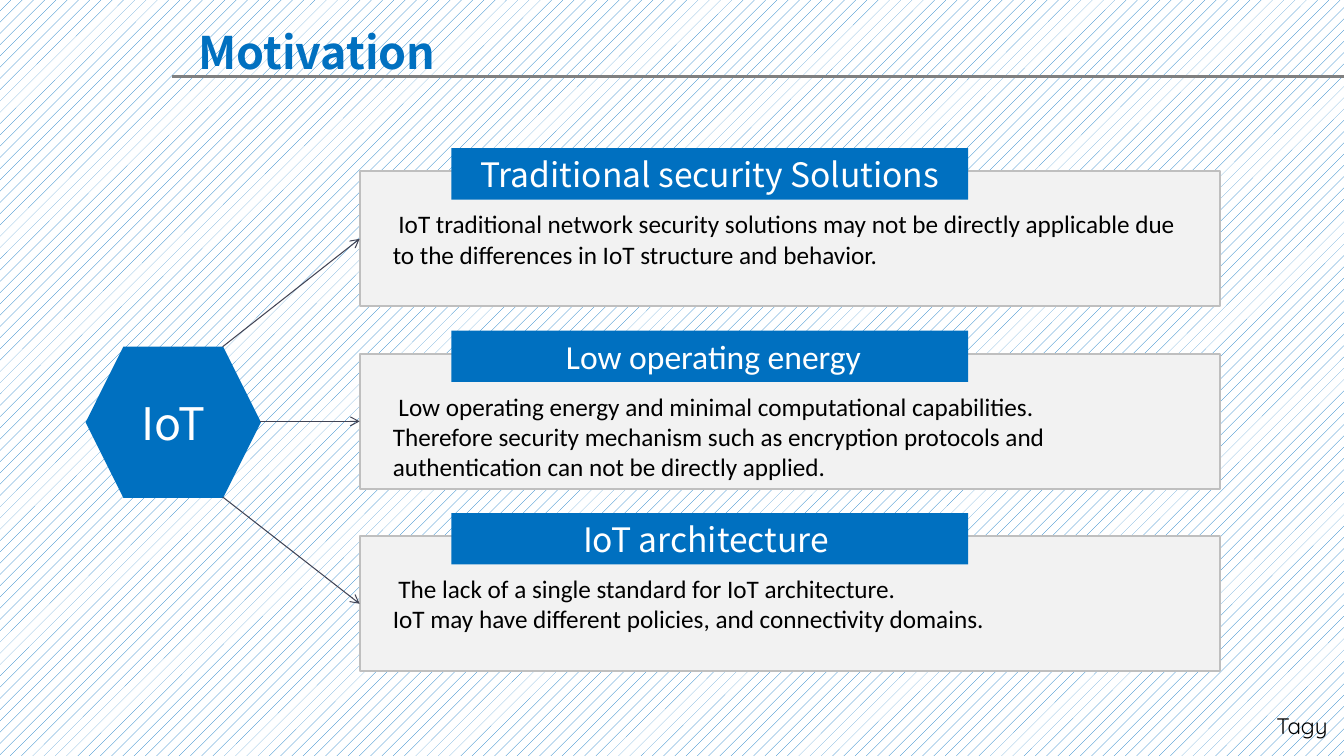
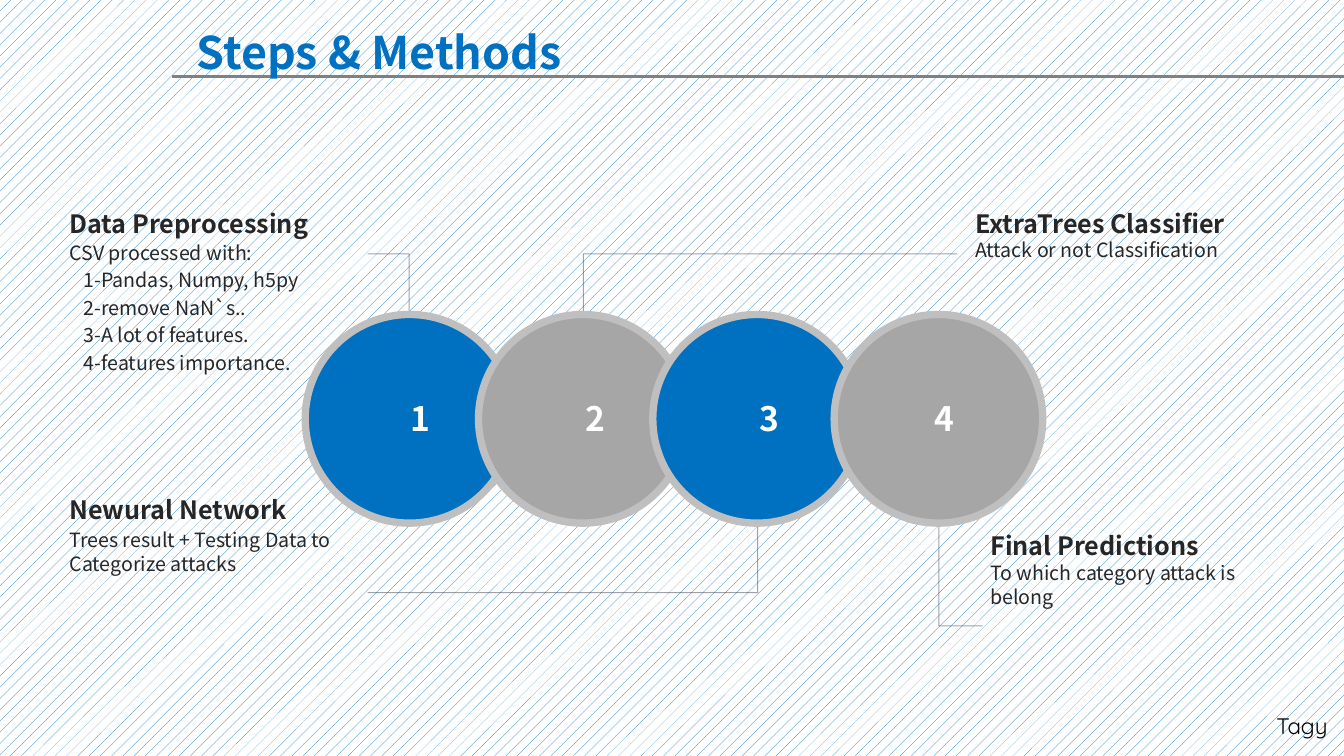
import pptx
import pptx.util
import pptx.dml.color
import pptx.enum.dml
import pptx.enum.shapes
import pptx.enum.text
import pptx.oxml
import pptx.oxml.ns

RGBColor = pptx.dml.color.RGBColor
BLUE = RGBColor(0x00, 0x70, 0xC0)
WHITE = RGBColor(0xFF, 0xFF, 0xFF)
BLACK = RGBColor(0x00, 0x00, 0x00)
INK = RGBColor(0x26, 0x26, 0x26)
SLATE = RGBColor(0x41, 0x44, 0x55)
RULE_GRAY = RGBColor(0x80, 0x80, 0x80)
STEP_GRAY = RGBColor(0xA6, 0xA6, 0xA6)
EDGE_GRAY = RGBColor(0xBF, 0xBF, 0xBF)
PANEL_GRAY = RGBColor(0xF2, 0xF2, 0xF2)

HEAD_FONT = "Noto Sans CJK SC"
BODY_FONT = "Calibri"
PX = 9144  # 100 px to the inch

SHAPES = pptx.enum.shapes.MSO_SHAPE
ALIGN = pptx.enum.text.PP_ALIGN
ANCHOR = pptx.enum.text.MSO_ANCHOR

presentation = pptx.Presentation()
presentation.slide_width = 1334 * PX
presentation.slide_height = 750 * PX
layout = presentation.slide_layouts.get_by_name("Title Only")


def write(shape, lines, size, color, font=HEAD_FONT, bold=False, align=ALIGN.LEFT,
          anchor=ANCHOR.TOP, line_spacing=None, space_before=0, indent=0):
    """Fill a shape with one paragraph a line; indent (px) applies after the first."""
    frame = shape.text_frame
    frame.word_wrap = True
    frame.auto_size = pptx.enum.text.MSO_AUTO_SIZE.NONE
    frame.vertical_anchor = anchor
    for index, line in enumerate(lines):
        paragraph = frame.add_paragraph() if index else frame.paragraphs[0]
        paragraph.alignment = align
        paragraph.line_spacing = line_spacing
        if index:
            paragraph.space_before = pptx.util.Pt(space_before)
            if indent:
                paragraph._p.get_or_add_pPr().set("marL", str(indent * PX))
        run = paragraph.add_run()
        run.text = line
        run.font.name = font
        run.font.size = pptx.util.Pt(size)
        run.font.bold = bold
        run.font.color.rgb = color


def add_line(slide, start, end, color, width, detail=None):
    """Draw a shadowless line; detail is "arrow", "faint" or None."""
    line = slide.shapes.add_connector(
        pptx.enum.shapes.MSO_CONNECTOR.STRAIGHT, *(value * PX for value in start + end))
    line.line.color.rgb = color
    line.line.width = pptx.util.Pt(width)
    properties = line._element.spPr
    outline = line.line._get_or_add_ln()
    if detail == "arrow":
        pptx.oxml.ns.qn("a:tailEnd")
        tail = pptx.oxml.parse_xml(f'<a:tailEnd {pptx.oxml.ns.nsdecls("a")} type="arrow"/>')
        outline.append(tail)
    elif detail == "faint":
        alpha = pptx.oxml.parse_xml(f'<a:alpha {pptx.oxml.ns.nsdecls("a")} val="50000"/>')
        outline.find(".//" + pptx.oxml.ns.qn("a:srgbClr")).append(alpha)
    properties.append(pptx.oxml.parse_xml(f'<a:effectLst {pptx.oxml.ns.nsdecls("a")}/>'))
    return line


# Shared background, titles, rule and footer
background = presentation.slide_master.background.fill
background.patterned()
background.pattern = pptx.enum.dml.MSO_PATTERN.PERCENT_10
background.fore_color.rgb = BLUE
background.back_color.rgb = WHITE

slides = []
for title_text, left, width in [("Motivation", 187, 441), ("Steps & Methods", 185, 497)]:
    slide = presentation.slides.add_slide(layout)
    title = slide.shapes.title
    title.left, title.top, title.width, title.height = left * PX, 19 * PX, width * PX, 64 * PX
    write(title, [title_text], 32, BLUE, bold=True)
    slides.append(slide)
motivation, steps = slides

rule = add_line(motivation, (171, 76), (1334, 76), RULE_GRAY, 2)
footer = motivation.shapes.add_textbox(1257 * PX, 702 * PX, 155 * PX, 37 * PX)
write(footer, ["Tagy"], 16, BLACK, font="Quicksand")
for shared in (rule, footer):
    layout.shapes.element.append(shared._element)

# Motivation: a hexagon pointing to three panels
hexagon = motivation.shapes.add_shape(SHAPES.HEXAGON, 85 * PX, 344 * PX, 174 * PX, 150 * PX)
hexagon.shadow.inherit = False
hexagon.fill.solid()
hexagon.fill.fore_color.rgb = BLUE
hexagon.line.fill.background()
write(hexagon, ["IoT"], 32, WHITE, align=ALIGN.CENTER, anchor=ANCHOR.MIDDLE)

panels = [
    ("Traditional security Solutions", HEAD_FONT, (221, 344),
     [" IoT traditional network security solutions may not be directly applicable due to "
      "the differences in IoT structure and behavior."]),
    (" Low operating energy", BODY_FONT, (258, 418),
     [" Low operating energy and minimal computational capabilities.",
      "Therefore security mechanism such as encryption protocols and authentication can "
      "not be directly applied."]),
    ("IoT architecture ", HEAD_FONT, (221, 493),
     [" The lack of a single standard for IoT architecture.",
      "IoT may have different policies, and connectivity domains."]),
]
for index, (heading, heading_font, arrow_start, lines) in enumerate(panels):
    top = 170 + 181 * index
    panel = motivation.shapes.add_shape(SHAPES.RECTANGLE, 357 * PX, top * PX, 854 * PX, 134 * PX)
    panel.shadow.inherit = False
    panel.fill.solid()
    panel.fill.fore_color.rgb = PANEL_GRAY
    panel.line.color.rgb = EDGE_GRAY
    panel.line.width = pptx.util.Pt(1.5)

    banner = motivation.shapes.add_shape(
        SHAPES.RECTANGLE, 448 * PX, (top - 23) * PX, 513 * PX, 51 * PX)
    banner.shadow.inherit = False
    banner.fill.solid()
    banner.fill.fore_color.rgb = BLUE
    banner.line.fill.background()
    write(banner, [heading], 24, WHITE, font=heading_font,
          align=ALIGN.CENTER, anchor=ANCHOR.MIDDLE)

    body = motivation.shapes.add_textbox(380 * PX, (top + 32) * PX, 798 * PX, 101 * PX)
    write(body, lines, 18, BLACK, font=BODY_FONT)
    arrow = add_line(motivation, arrow_start, (357, top + 67), SLATE, 0.75, "arrow")
    arrow.end_connect(panel, 1)

# Steps: four notes, their leader lines and a chain of circles
notes = [
    (61, 190, 234, "Data Preprocessing",
     ["CSV processed with:", "1-Pandas, Numpy, h5py", "2-remove NaN`s..",
      "3-A lot of features.", "4-features importance."]),
    (61, 474, 519, "Newural Network", ["Trees result + Testing Data to Categorize attacks"]),
    (960, 190, 231, "ExtraTrees Classifier", ["Attack or not Classification"]),
    (975, 509, 552, "Final Predictions", ["To which category attack is belong"]),
]
for left, heading_top, body_top, heading, lines in notes:
    heading_box = steps.shapes.add_textbox(left * PX, heading_top * PX, 305 * PX, 43 * PX)
    write(heading_box, [heading], 18, INK, bold=True, line_spacing=1.4)
    body_box = steps.shapes.add_textbox(left * PX, body_top * PX, 305 * PX, 138 * PX)
    write(body_box, lines, 14, INK, space_before=2.8, indent=14)
    for box in (heading_box, body_box):
        box.text_frame.margin_left = box.text_frame.margin_right = 8 * PX

leaders = [
    [(406, 312), (406, 252), (365, 252)],
    [(579, 312), (579, 252), (950, 252)],
    [(752, 519), (752, 588), (365, 588)],
    [(932, 519), (932, 621), (975, 621)],
]
for start, corner, end in leaders:
    add_line(steps, start, corner, SLATE, 0.75, "faint")
    add_line(steps, corner, end, SLATE, 0.75, "faint")

circles = [(303, 350, BLUE), (475, 524, STEP_GRAY), (648, 697, BLUE), (828, 870, STEP_GRAY)]
for number, (left, number_left, color) in enumerate(circles, start=1):
    circle = steps.shapes.add_shape(SHAPES.OVAL, left * PX, 312 * PX, 207 * PX, 207 * PX)
    circle.shadow.inherit = False
    circle.fill.solid()
    circle.fill.fore_color.rgb = color
    circle.line.color.rgb = EDGE_GRAY
    circle.line.width = pptx.util.Pt(5.25)
    number_box = steps.shapes.add_textbox(number_left * PX, 390 * PX, 134 * PX, 62 * PX)
    write(number_box, [str(number)], 24, WHITE, bold=True, align=ALIGN.CENTER)

presentation.save("out.pptx")
